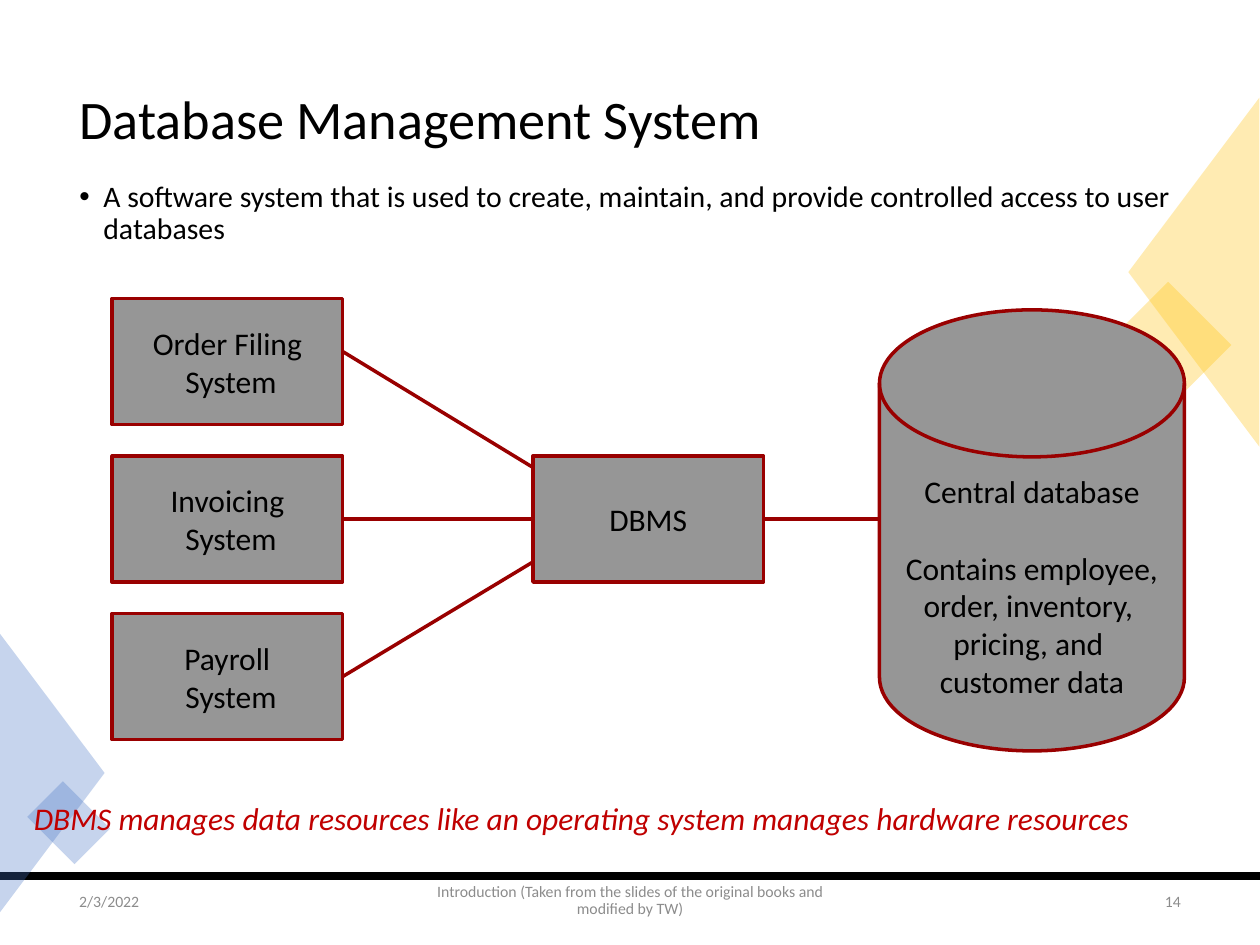
from lxml.etree import SubElement
from pptx import Presentation
from pptx.dml.color import RGBColor
from pptx.enum.shapes import MSO_CONNECTOR, MSO_SHAPE
from pptx.enum.text import MSO_ANCHOR, MSO_AUTO_SIZE, PP_ALIGN
from pptx.oxml.ns import qn
from pptx.util import Inches, Pt

BLACK = RGBColor(0x00, 0x00, 0x00)
GRAY = RGBColor(0x96, 0x96, 0x96)
FOOTER_GRAY = RGBColor(0x8C, 0x8C, 0x8C)
DARK_RED = RGBColor(0x99, 0x00, 0x00)
RED = RGBColor(0xC0, 0x00, 0x00)
GOLD = RGBColor(0xFF, 0xC0, 0x00)
BLUE = RGBColor(0x44, 0x72, 0xC4)

BOX_WIDTH, BOX_HEIGHT = 1.83, 1
SYSTEM_LEFT, SYSTEM_TOP, SYSTEM_STEP = 0.89, 2.37, 1.25
SYSTEM_RIGHT = SYSTEM_LEFT + BOX_WIDTH
DBMS_LEFT = 4.23
DISK_LEFT = 6.98
MIDDLE = SYSTEM_TOP + SYSTEM_STEP + BOX_HEIGHT / 2


def place(shape, left, top, width, height):
    shape.left, shape.top = Inches(left), Inches(top)
    shape.width, shape.height = Inches(width), Inches(height)


def style(paragraph, size, color=BLACK, align=PP_ALIGN.LEFT):
    paragraph.alignment = align
    paragraph.font.name = "Calibri"
    paragraph.font.size = Pt(size)
    paragraph.font.color.rgb = color


def fill_placeholder(holder, text, frame, size, anchor):
    place(holder, *frame)
    holder.text_frame.text = text
    holder.text_frame.auto_size = MSO_AUTO_SIZE.NONE
    holder.text_frame.vertical_anchor = anchor
    return holder.text_frame.paragraphs[0]


def add_title(slide, text):
    frame = (0.53, 0.35, 8.94, 1.24)
    paragraph = fill_placeholder(slide.shapes.title, text, frame, 31, MSO_ANCHOR.MIDDLE)
    paragraph.line_spacing = 0.9
    style(paragraph, 31)


def add_bullet(slide, text):
    frame = (0.53, 1.39, 8.94, 5.37)
    paragraph = fill_placeholder(slide.placeholders[1], text, frame, 17, MSO_ANCHOR.TOP)
    paragraph.line_spacing = 0.9
    paragraph.space_before = Pt(0)
    properties = paragraph._p.get_or_add_pPr()
    properties.set("marL", str(Inches(0.19)))
    properties.set("indent", str(-Inches(0.19)))
    SubElement(properties, qn("a:buFont")).set("typeface", "Arial")
    SubElement(properties, qn("a:buChar")).set("char", "•")
    style(paragraph, 17)


def add_text(slide, text, frame, size, color, align=PP_ALIGN.LEFT, anchor=MSO_ANCHOR.TOP):
    box = slide.shapes.add_textbox(*map(Inches, frame))
    box.text_frame.word_wrap = True
    box.text_frame.vertical_anchor = anchor
    paragraph = box.text_frame.paragraphs[0]
    paragraph.text = text
    style(paragraph, size, color, align)
    return paragraph


def add_footer(slide, text, left, width, align):
    paragraph = add_text(slide, text, (left, 6.95, width, 0.4), 9, FOOTER_GRAY,
                         align, MSO_ANCHOR.MIDDLE)
    paragraph.space_after = Pt(6)
    return paragraph


def add_decoration(slide, kind, frame, rotation, color):
    shape = slide.shapes.add_shape(kind, *map(Inches, frame))
    shape.rotation = rotation
    shape.shadow.inherit = False
    shape.fill.solid()
    shape.fill.fore_color.rgb = color
    shape.line.fill.background()
    for tint in shape._element.spPr.iter(qn("a:srgbClr")):
        SubElement(tint, qn("a:alpha")).set("val", "30000")


def add_node(slide, kind, lines, frame):
    shape = slide.shapes.add_shape(kind, *map(Inches, frame))
    shape.shadow.inherit = False
    shape.fill.solid()
    shape.fill.fore_color.rgb = GRAY
    shape.line.color.rgb = DARK_RED
    shape.line.width = Pt(2)
    text_frame = shape.text_frame
    text_frame.word_wrap = False
    text_frame.vertical_anchor = MSO_ANCHOR.MIDDLE
    text_frame.text = "\n".join(lines)
    for paragraph in text_frame.paragraphs:
        style(paragraph, 18, align=PP_ALIGN.CENTER)
    return shape


def add_box(slide, lines, left, top):
    return add_node(slide, MSO_SHAPE.RECTANGLE, lines, (left, top, BOX_WIDTH, BOX_HEIGHT))


def add_line(slide, start, end, color=DARK_RED, width=2):
    line = slide.shapes.add_connector(MSO_CONNECTOR.STRAIGHT, *map(Inches, start + end))
    line.line.color.rgb = color
    line.line.width = Pt(width)
    SubElement(line._element.spPr, qn("a:effectLst"))
    return line


def add_diagram(slide):
    systems = [
        add_box(slide, (name, " System"), SYSTEM_LEFT, SYSTEM_TOP + row * SYSTEM_STEP)
        for row, name in enumerate(("Order Filing", "Invoicing", "Payroll"))
    ]
    dbms = add_box(slide, ("DBMS",), DBMS_LEFT, SYSTEM_TOP + SYSTEM_STEP)

    add_line(slide, (SYSTEM_RIGHT, 2.79), (DBMS_LEFT, 3.71))
    invoicing_line = add_line(slide, (SYSTEM_RIGHT, MIDDLE), (DBMS_LEFT, MIDDLE))
    invoicing_line.begin_connect(systems[1], 3)
    invoicing_line.end_connect(dbms, 1)
    add_line(slide, (SYSTEM_RIGHT, 5.37), (DBMS_LEFT, 4.46))

    disk_lines = ("Central database", "Contains employee,", "order, inventory, ",
                  "pricing, and ", "customer data")
    disk = add_node(slide, MSO_SHAPE.FLOWCHART_MAGNETIC_DISK, disk_lines,
                    (DISK_LEFT, 2.46, 2.42, 3.5))
    disk.text_frame.margin_top = Inches(0.35)
    disk.text_frame.paragraphs[1].space_before = Pt(22)
    disk_line = add_line(slide, (DBMS_LEFT + BOX_WIDTH, MIDDLE), (DISK_LEFT, MIDDLE))
    disk_line.begin_connect(dbms, 3)


def main():
    deck = Presentation()
    deck.slide_width, deck.slide_height = Inches(10), Inches(7.5)
    slide = deck.slides.add_slide(deck.slide_layouts[1])

    add_line(slide, (0, 6.95), (10, 6.95), BLACK, 4.5)
    add_title(slide, "Database Management System")
    add_bullet(slide, "A software system that is used to create, maintain, and provide "
                      "controlled access to user databases")

    add_decoration(slide, MSO_SHAPE.RECTANGLE, (8.98, 2.41, 0.71, 0.53), 45, GOLD)
    add_decoration(slide, MSO_SHAPE.ISOSCELES_TRIANGLE, (8.09, 1.64, 2.77, 1.04), 270, GOLD)
    add_decoration(slide, MSO_SHAPE.ISOSCELES_TRIANGLE, (-0.69, 5.72, 2.21, 0.83), 90, BLUE)
    add_decoration(slide, MSO_SHAPE.RECTANGLE, (0.28, 6.33, 0.53, 0.4), 45, BLUE)

    add_footer(slide, "2/3/2022", 0.53, 2.25, PP_ALIGN.LEFT)
    credit = add_footer(slide, "Introduction (Taken from the slides of the original books "
                               "and modified by TW)", 3.31, 3.38, PP_ALIGN.CENTER)
    credit.line_spacing = 0.9
    add_footer(slide, "14", 7.22, 2.25, PP_ALIGN.RIGHT)

    summary = add_text(slide, "DBMS manages data resources like an operating system manages "
                              "hardware resources", (0.17, 6.29, 9.77, 0.4), 18, RED)
    summary.font.italic = True
    add_diagram(slide)
    deck.save("out.pptx")


if __name__ == "__main__":
    main()
